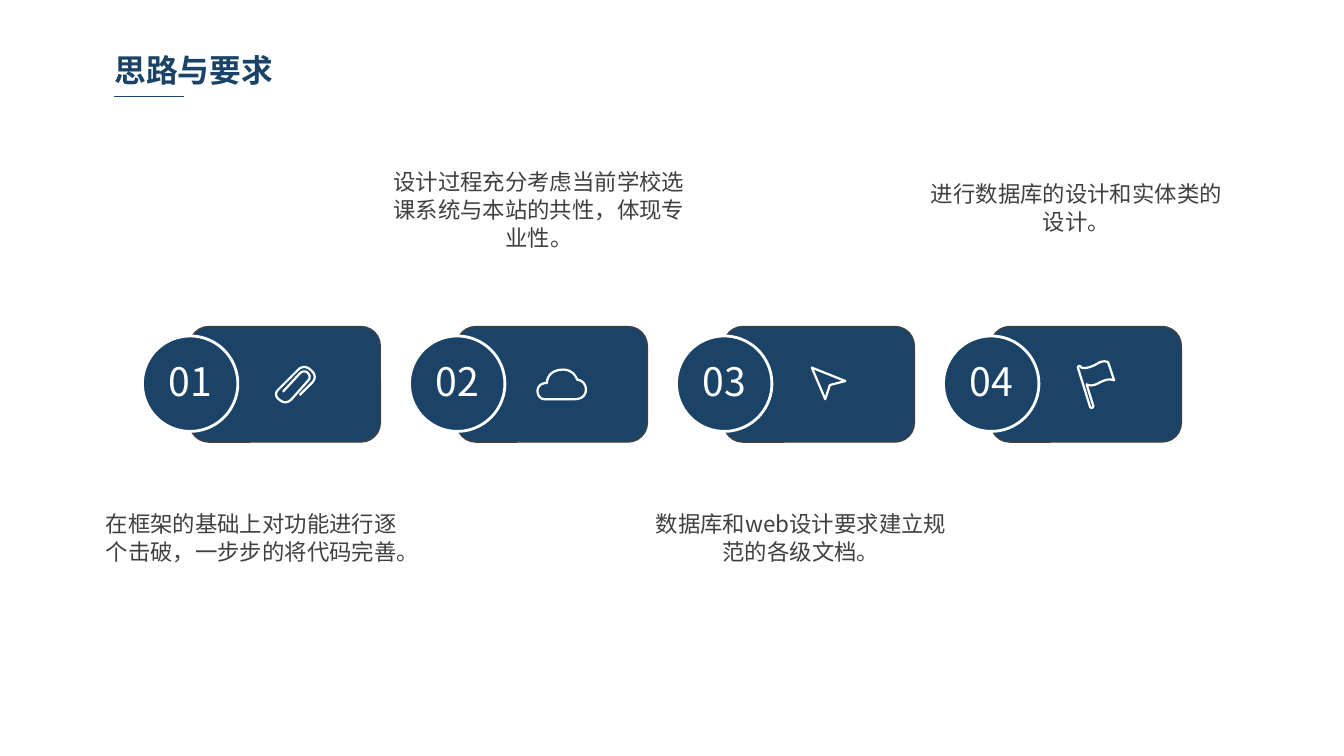
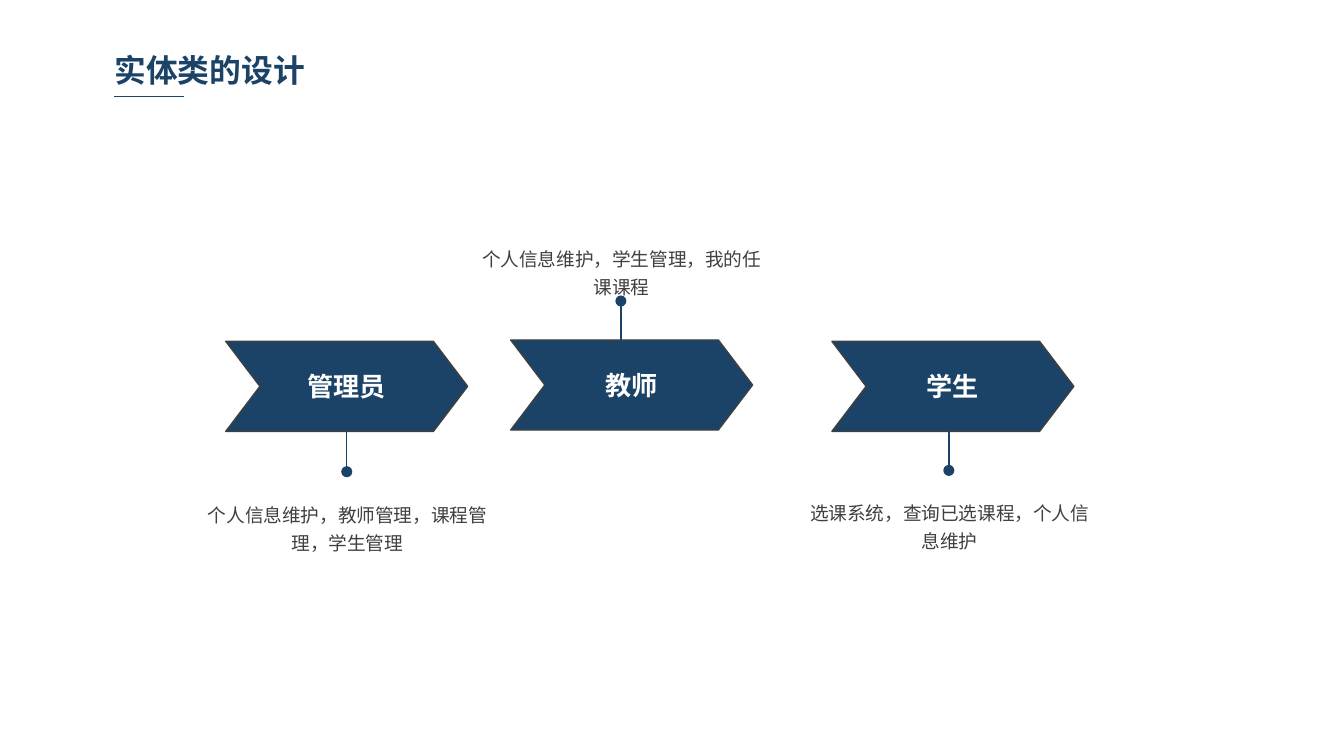
import pptx
import pptx.dml.color
import pptx.enum.shapes
import pptx.enum.text
import pptx.oxml
import pptx.oxml.ns
import pptx.util
from pptx.util import Inches

MSO = pptx.enum.shapes.MSO_SHAPE
ALIGN = pptx.enum.text.PP_ALIGN
ANCHOR = pptx.enum.text.MSO_ANCHOR
AUTO_SIZE = pptx.enum.text.MSO_AUTO_SIZE

NAVY, GREY, WHITE = "1B4367", "404040", "FFFFFF"
FONT = "Noto Sans CJK SC"

# Icon outlines in hundredths of an inch: a start point, then lines (x, y)
# and cubic curves (x1, y1, x2, y2, x, y).
CLIP = [(19, 22), (28, 13), (31, 10, 31, 6.5, 27.5, 3.5),
        (24, 0, 20, 0.5, 17.5, 3.5), (4, 17), (0.5, 20, 0.5, 23, 4, 25.5),
        (7, 28, 10, 28, 13, 25), (25, 11.5), (27, 9.5, 27, 7, 24.5, 5),
        (23, 4, 21, 4, 19, 6), (6.5, 19.5)]
CLOUD = [(6, 23), (3, 23, 1, 20, 1, 17), (1, 13.5, 3.5, 11, 8, 11),
         (8, 5, 13, 1, 20, 1), (25, 1, 29, 4, 30.5, 8.5),
         (34.5, 9, 37, 12, 37, 16), (37, 20, 34, 23, 29, 23), (6, 23)]
CURSOR = [(2, 1.5), (12, 25), (15.5, 14.5), (27, 11.5), (2, 1.5)]
FLAG = [(3.5, 5.5), (6, 6.5, 10, 5.5, 14, 3.5), (17, 1.5, 20, 0, 23.5, 1.5),
        (28, 15), (24, 13.5, 21, 15, 17.5, 16.5), (13.5, 19, 10, 19.5, 7.5, 18),
        (12.5, 34), (12.5, 36, 10.5, 36, 10, 34.5), (1, 5.5),
        (1, 4, 3, 4, 3.5, 5.5)]

# number, icon, icon left and top, caption, caption left, top and height
STEPS = [
    ("01", CLIP, 2.04, 2.72, "在框架的基础上对功能进行逐个击破，一步步的将代码完善。",
     0.63, 3.75, 0.48),
    ("02", CLOUD, 3.99, 2.74, "设计过程充分考虑当前学校选课系统与本站的共性，体现专业性。",
     2.77, 1.2, 0.69),
    ("03", CURSOR, 6.02, 2.72, "数据库和web设计要求建立规范的各级文档。",
     4.72, 3.75, 0.48),
    ("04", FLAG, 8.01, 2.68, "进行数据库的设计和实体类的设计。",
     6.77, 1.29, 0.48),
]
FIRST_STEP, LAST_STEP = 1.06, 7.02

# role, chevron left and top, pin x, pin start and end, duties, duties left and top
ROLES = [
    ("管理员", 1.68, 2.54, 2.58, 3.21, 3.51,
     "个人信息维护，教师管理，课程管理，学生管理", 1.45, 3.67),
    ("教师", 3.8, 2.53, 4.62, 2.53, 2.24,
     "个人信息维护，学生管理，我的任课课程", 3.49, 1.76),
    ("学生", 6.19, 2.54, 7.06, 3.2, 3.5,
     "选课系统，查询已选课程，个人信息维护", 5.93, 3.65),
]


def rgb(color):
    return pptx.dml.color.RGBColor.from_string(color)


def write(sp, text, size, color=GREY, bold=False, align=ALIGN.CENTER,
          anchor=ANCHOR.TOP, spacing=None, inset=(0.07, 0.04), grow=False):
    """Put one formatted paragraph into a shape."""
    tf = sp.text_frame
    tf.word_wrap = True
    tf.vertical_anchor = anchor
    tf.auto_size = AUTO_SIZE.SHAPE_TO_FIT_TEXT if grow else AUTO_SIZE.NONE
    tf.margin_left = tf.margin_right = Inches(inset[0])
    tf.margin_top = tf.margin_bottom = Inches(inset[1])
    p = tf.paragraphs[0]
    p.alignment = align
    if spacing:
        p.line_spacing = spacing
    r = p.add_run()
    r.text = text
    r.font.size = pptx.util.Pt(size)
    r.font.bold = bold
    r.font.name = FONT
    r.font.color.rgb = rgb(color)
    ea = pptx.oxml.parse_xml(
        f'<a:ea {pptx.oxml.ns.nsdecls("a")} typeface="{FONT}"/>')
    r.font._element.find(pptx.oxml.ns.qn("a:latin")).addnext(ea)


def add_caption(slide, text, size, left, top, width, height):
    sp = slide.shapes.add_textbox(*map(Inches, (left, top, width, height)))
    write(sp, text, size, spacing=pptx.util.Pt(15), inset=(0.08, 0.04), grow=True)


def add_block(shapes, kind, left, top, width, height, line=GREY, weight=0.75):
    sp = shapes.add_shape(kind, *map(Inches, (left, top, width, height)))
    sp.shadow.inherit = False
    sp.fill.solid()
    sp.fill.fore_color.rgb = rgb(NAVY)
    sp.line.color.rgb = rgb(line)
    sp.line.width = pptx.util.Pt(weight)
    return sp


def add_rule(slide, x1, y1, x2, y2, dot=False):
    """Draw a thin navy line, with a round end if dot is set."""
    line = slide.shapes.add_connector(
        pptx.enum.shapes.MSO_CONNECTOR.STRAIGHT, *map(Inches, (x1, y1, x2, y2)))
    line.line.color.rgb = rgb(NAVY)
    line.line.width = pptx.util.Pt(0.75)
    ns = pptx.oxml.ns.nsdecls("a")
    if dot:
        line.line._get_or_add_ln().append(
            pptx.oxml.parse_xml(f'<a:tailEnd {ns} type="oval"/>'))
    line._element.spPr.append(pptx.oxml.parse_xml(f"<a:effectLst {ns}/>"))


def flatten(outline, steps=8):
    """Turn lines and cubic curves into a list of points."""
    points = [outline[0]]
    for seg in outline[1:]:
        if len(seg) == 2:
            points.append(seg)
            continue
        start = points[-1]
        for i in range(1, steps + 1):
            t = i / steps
            u = 1 - t
            points.append(tuple(
                u**3 * start[k] + 3 * u * u * t * seg[k]
                + 3 * u * t * t * seg[k + 2] + t**3 * seg[k + 4]
                for k in (0, 1)))
    return points


def add_icon(shapes, outline, left, top):
    points = [(Inches(left + x / 100), Inches(top + y / 100))
              for x, y in flatten(outline)]
    builder = shapes.build_freeform(*points[0])
    builder.add_line_segments(points[1:], close=outline[0] == outline[-1])
    sp = builder.convert_to_shape()
    sp.shadow.inherit = False
    sp.fill.background()
    sp.line.color.rgb = rgb(WHITE)
    sp.line.width = pptx.util.Pt(1.2)


def add_titled_slide(prs, title):
    slide = prs.slides.add_slide(prs.slide_layouts[5])
    sp = slide.shapes.title
    sp.left, sp.top, sp.width, sp.height = map(Inches, (0.78, 0.34, 2.47, 0.36))
    write(sp, title, 17, color=NAVY, bold=True, align=ALIGN.LEFT, grow=True)
    add_rule(slide, 0.85, 0.72, 1.37, 0.72)
    return slide


def build_steps(prs):
    slide = add_titled_slide(prs, "思路与要求")
    pitch = (LAST_STEP - FIRST_STEP) / (len(STEPS) - 1)
    for i, (number, icon, icon_x, icon_y, text, x, y, height) in enumerate(STEPS):
        left = FIRST_STEP + i * pitch
        shapes = slide.shapes.add_group_shape().shapes
        add_block(shapes, MSO.ROUNDED_RECTANGLE, left + 0.35, 2.43, 1.42, 0.86)
        circle = add_block(shapes, MSO.OVAL, left, 2.5, 0.71, 0.71, WHITE, 1.5)
        write(circle, number, 21, color=WHITE, anchor=ANCHOR.MIDDLE,
              spacing=0.9, inset=(0.04, 0.04))
        add_icon(shapes, icon, icon_x, icon_y)
        add_caption(slide, text, 12, x, y, 2.48, height)


def build_roles(prs):
    slide = add_titled_slide(prs, "实体类的设计")
    for role, left, top, pin, start, end, duties, x, y in ROLES:
        chevron = add_block(slide.shapes, MSO.CHEVRON, left, top, 1.8, 0.67)
        chevron.adjustments[0] = 0.38
        write(chevron, role, 14, color=WHITE, bold=True, anchor=ANCHOR.MIDDLE)
        add_rule(slide, pin, start, pin, end, dot=True)
        add_caption(slide, duties, 10, x, y, 2.27, 0.48)


def main():
    prs = pptx.Presentation()
    prs.slide_width = Inches(10)
    prs.slide_height = prs.slide_width * 9 // 16
    build_steps(prs)
    build_roles(prs)
    prs.save("out.pptx")


if __name__ == "__main__":
    main()
